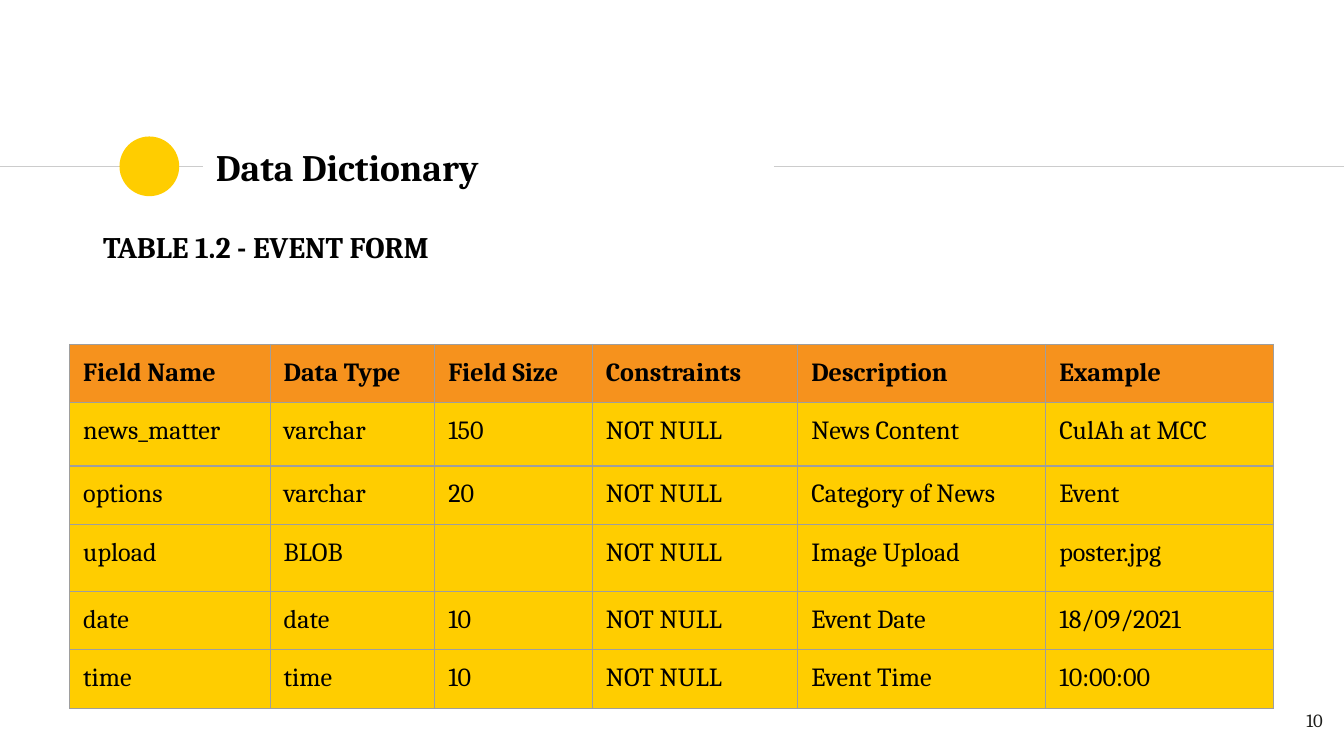
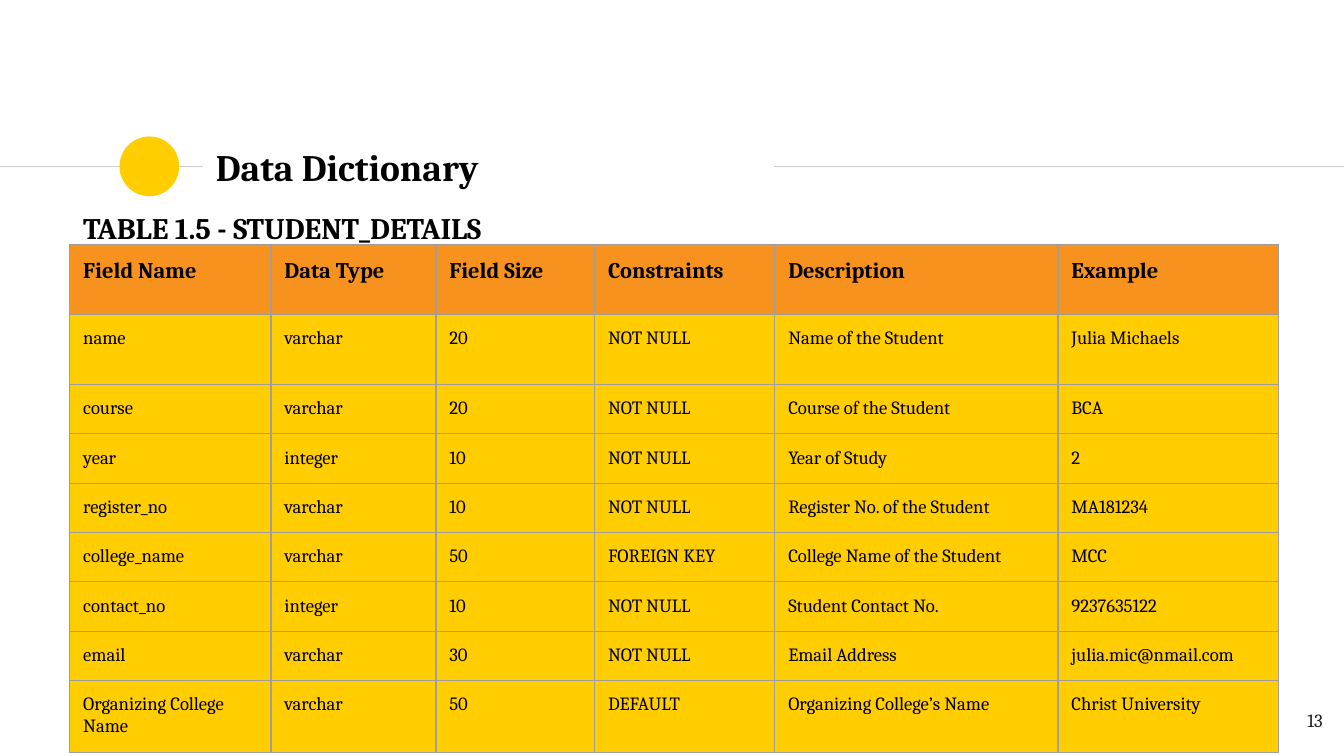
from lxml import etree
from pptx import Presentation
from pptx.dml.color import RGBColor
from pptx.enum import shapes, text
from pptx.oxml import ns
from pptx.util import Pt

FONT = "Cambria"
BLACK = RGBColor(0x00, 0x00, 0x00)
INK = RGBColor(0x1D, 0x1D, 0x1B)
GOLD = RGBColor(0xFF, 0xCD, 0x00)
ORANGE = RGBColor(0xF6, 0x92, 0x1D)
RULE = RGBColor(0xCC, 0xCC, 0xCC)
EDGE = RGBColor(0x9E, 0x9E, 0x9E)
WIDE, HIGH = 720, 405
PAD = 7.2
HEAD = ["Field Name", "Data Type", "Field Size", "Constraints", "Description", "Example"]

EVENT = {
    "title": "TABLE 1.2 - EVENT FORM", "label": (48.2, 115.2, 260, 33.8), "page": "10",
    "origin": (37.4, 184.6), "sizes": (14, 14),
    "cols": [107.4, 88.2, 84.5, 110, 132.9, 121.8],
    "tall": [31, 33.8, 30.3, 30.3, 30.3, 30.3],
    "rows": [
        ["news_matter", "varchar", "150", "NOT NULL", "News Content", "CulAh at MCC"],
        ["options", "varchar", "20", "NOT NULL", "Category of News", "Event"],
        ["upload", "BLOB", "", "NOT NULL", "Image Upload", "poster.jpg"],
        ["date", "date", "10", "NOT NULL", "Event Date", "18/09/2021"],
        ["time", "time", "10", "NOT NULL", "Event Time", "10:00:00"],
    ],
}
STUDENT = {
    "title": "TABLE 1.5 - STUDENT_DETAILS", "label": (37.4, 105.1, 339.8, 33.8), "page": "13",
    "origin": (37.4, 131), "sizes": (12, 10),
    "cols": [107.8, 88.4, 85, 96.6, 151.7, 118],
    "tall": [37.5] * 2 + [26.1] * 6 + [37.5],
    "rows": [
        ["name", "varchar", "20", "NOT NULL", "Name of the Student", "Julia Michaels"],
        ["course", "varchar", "20", "NOT NULL", "Course of the Student", "BCA"],
        ["year", "integer", "10", "NOT NULL", "Year of Study", "2"],
        ["register_no", "varchar", "10", "NOT NULL", "Register No. of the Student", "MA181234"],
        ["college_name", "varchar", "50", "FOREIGN KEY", "College Name of the Student", "MCC"],
        ["contact_no", "integer", "10", "NOT NULL", "Student Contact No.", "9237635122"],
        ["email", "varchar", "30", "NOT NULL", "Email Address", "julia.mic@nmail.com"],
        ["Organizing College Name", "varchar", "50", "DEFAULT", "Organizing College’s Name",
         "Christ University"],
    ],
}


def pad(item):
    """Give a text frame or a cell the shared margins."""
    item.margin_left = item.margin_right = Pt(PAD)
    item.margin_top = item.margin_bottom = Pt(PAD)


def write(frame, words, size=10, bold=False, color=BLACK, align=None):
    """Put one formatted paragraph in a text frame."""
    para = frame.paragraphs[0]
    para.alignment = align
    run = para.add_run()
    run.text = words
    font = run.font
    font.name, font.size, font.bold = FONT, Pt(size), bold
    font.color.rgb = color


def label(slide, box, words, anchor=text.MSO_ANCHOR.TOP, **style):
    """Add a text box that fills the given box."""
    frame = slide.shapes.add_textbox(*map(Pt, box)).text_frame
    frame.word_wrap = True
    frame.vertical_anchor = anchor
    pad(frame)
    write(frame, words, **style)


def rule(slide, left, right, y):
    """Draw a thin level line."""
    line = slide.shapes.add_connector(
        shapes.MSO_CONNECTOR.STRAIGHT, Pt(left), Pt(y), Pt(right), Pt(y))
    line.line.color.rgb = RULE
    line.line.width = Pt(0.75)
    etree.SubElement(line._element.spPr, ns.qn("a:effectLst"))


def banner(slide, box, words):
    """Draw the title between two lines, with the dot at its left."""
    left, top, width, height = box
    mid = top + height / 2
    dot = 32
    rule(slide, 0, left, mid)
    disc = slide.shapes.add_shape(
        shapes.MSO_SHAPE.OVAL, Pt(left - 44.6), Pt(mid - dot / 2), Pt(dot), Pt(dot))
    disc.shadow.inherit = False
    disc.fill.solid()
    disc.fill.fore_color.rgb = GOLD
    disc.line.fill.background()
    rule(slide, left + width, WIDE, mid)
    label(slide, box, words, anchor=text.MSO_ANCHOR.MIDDLE, size=20, bold=True)


def border(cell):
    """Line all four sides of a cell."""
    props = cell._tc.get_or_add_tcPr()
    for side in ("lnL", "lnR", "lnT", "lnB"):
        line = etree.SubElement(props, ns.qn("a:" + side), w=str(Pt(0.75)))
        fill = etree.SubElement(line, ns.qn("a:solidFill"))
        etree.SubElement(fill, ns.qn("a:srgbClr"), val=str(EDGE))


def grid(slide, origin, cols, tall, rows, sizes):
    """Build the field table from its top left corner."""
    box = (*origin, sum(cols), sum(tall))
    table = slide.shapes.add_table(len(tall), len(cols), *map(Pt, box)).table
    table.horz_banding = False
    for col, width in zip(table.columns, cols):
        col.width = Pt(width)
    for row, height in zip(table.rows, tall):
        row.height = Pt(height)
    for r, line in enumerate([HEAD, *rows]):
        top = r == 0
        for c, words in enumerate(line):
            cell = table.cell(r, c)
            pad(cell)
            border(cell)
            cell.fill.solid()
            cell.fill.fore_color.rgb = ORANGE if top else GOLD
            if words:
                write(cell.text_frame, words, size=sizes[0 if top else 1], bold=top)


def sheet(deck, data):
    """Add one data dictionary slide."""
    slide = deck.slides.add_slide(deck.slide_layouts[6])
    banner(slide, (108.6, 71.8, 306, 34.6), "Data Dictionary")
    label(slide, (672.5, 373.7, 43.2, 31), data["page"], color=INK,
          align=text.PP_ALIGN.RIGHT)
    grid(slide, data["origin"], data["cols"], data["tall"], data["rows"], data["sizes"])
    label(slide, data["label"], data["title"], size=16, bold=True)


def main():
    """Build and save the deck."""
    deck = Presentation()
    deck.slide_width, deck.slide_height = Pt(WIDE), Pt(HIGH)
    for data in (EVENT, STUDENT):
        sheet(deck, data)
    deck.save("out.pptx")


if __name__ == "__main__":
    main()
